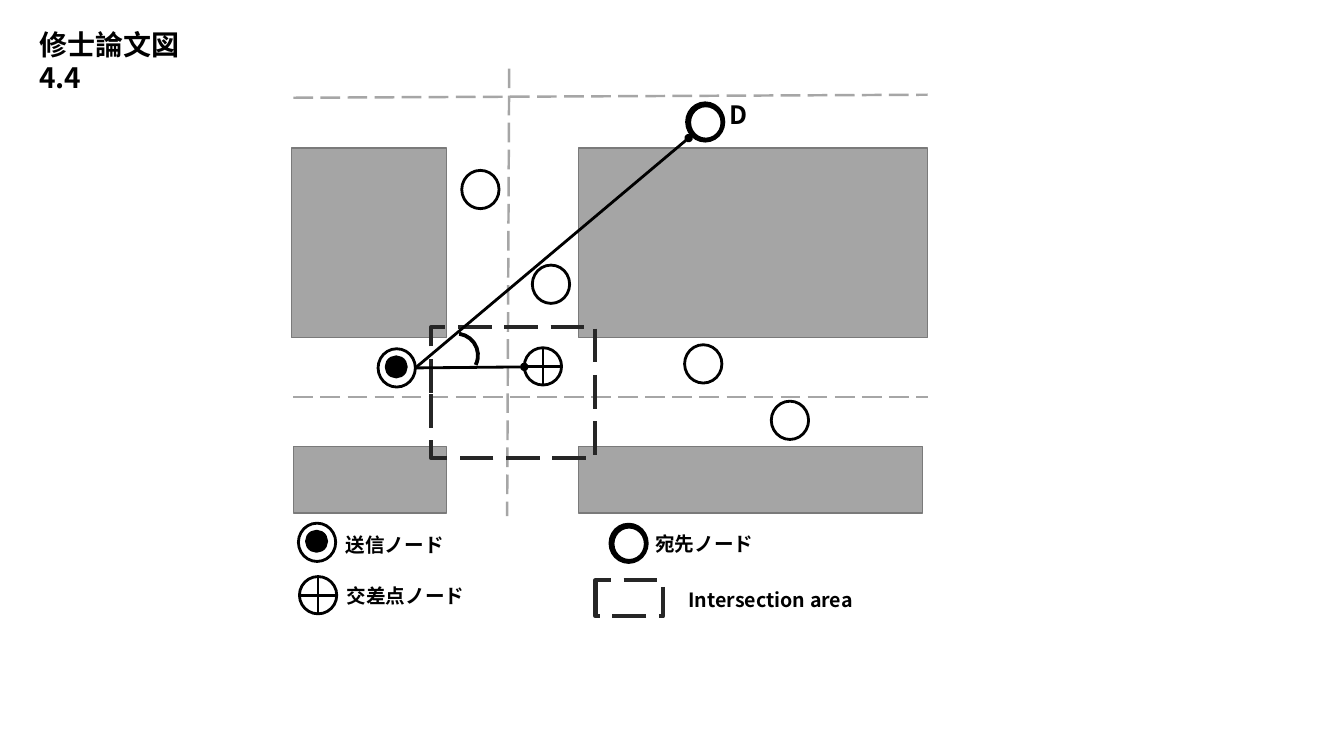
import pptx
import pptx.dml.color
import pptx.enum.dml
import pptx.enum.shapes
import pptx.enum.text
import pptx.oxml
import pptx.oxml.ns
import pptx.util
from dataclasses import dataclass

Inches = pptx.util.Inches
Pt = pptx.util.Pt
RGB = pptx.dml.color.RGBColor.from_string
SHAPE = pptx.enum.shapes.MSO_SHAPE
LONG_DASH = pptx.enum.dml.MSO_LINE.LONG_DASH


@dataclass(frozen=True)
class Theme:
    font: str = "Noto Sans CJK JP"
    ink: str = "000000"
    paper: str = "FFFFFF"
    block: str = "A5A5A5"
    block_edge: str = "7A7A7A"
    road: str = "A6A6A6"
    area: str = "262626"
    title_size: int = 20
    mark_size: int = 18
    legend_size: int = 14


theme = Theme()
prs = pptx.Presentation()
prs.slide_width, prs.slide_height = Inches(13.33), Inches(7.5)
slide = prs.slides.add_slide(prs.slide_layouts[6])


def add_outlined(kind, box, fill, line=theme.ink, width=2):
    """Add a preset shape; a fill of None leaves it see-through."""
    sp = slide.shapes.add_shape(kind, *map(Inches, box))
    sp.shadow.inherit = False
    if fill:
        sp.fill.solid()
        sp.fill.fore_color.rgb = RGB(fill)
    else:
        sp.fill.background()
    sp.line.color.rgb = RGB(line)
    sp.line.width = Pt(width)
    return sp


def add_line(start, end, color, width):
    line = slide.shapes.add_connector(
        pptx.enum.shapes.MSO_CONNECTOR.STRAIGHT, *map(Inches, start + end))
    line.line.color.rgb = RGB(color)
    line.line.width = Pt(width)
    pptx.oxml.ns.qn("a:effectLst")
    line._element.spPr.append(
        pptx.oxml.parse_xml(f"<a:effectLst {pptx.oxml.ns.nsdecls('a')}/>"))
    return line


# City blocks
for block in [(5.74, 1.47, 3.46, 1.88), (2.89, 1.47, 1.54, 1.88),
              (5.74, 4.43, 3.41, 0.66), (2.91, 4.43, 1.52, 0.66)]:
    add_outlined(SHAPE.RECTANGLE, block, theme.block, theme.block_edge, 1)

# Road centre lines
for start, end in [((2.91, 3.94), (9.2, 3.94)), ((2.91, 0.97), (9.2, 0.94)),
                   ((5.05, 0.68), (5.03, 5.12))]:
    add_line(start, end, theme.road, 1.75).line.dash_style = LONG_DASH

# Nodes on the map and in the legend
nodes = [
    ("crossing", 5.2, 3.45), ("sender", 3.75, 3.46), ("plain", 4.58, 1.69),
    ("target", 6.81, 1.02), ("plain", 5.28, 2.63), ("plain", 6.79, 3.42),
    ("plain", 7.65, 3.98), ("sender", 2.96, 5.19), ("target", 6.05, 5.2),
    ("crossing", 2.97, 5.72),
]
for role, x, y in nodes:
    add_outlined(SHAPE.FLOWCHART_OR if role == "crossing" else SHAPE.OVAL,
                 (x, y, 0.37, 0.37 if role == "crossing" else 0.38),
                 theme.ink if role == "target" else theme.paper)
    if role == "sender":
        add_outlined(SHAPE.OVAL, (x + 0.08, y + 0.08, 0.2, 0.2), theme.ink)
    elif role == "target":
        add_outlined(SHAPE.OVAL, (x + 0.03, y + 0.03, 0.32, 0.33), theme.paper)

# Intersection area: legend sample and map
for area in [(6.06, 5.6, 0.36, 0.67), (4.44, 3.08, 1.3, 1.63)]:
    sp = add_outlined(SHAPE.RECTANGLE, area, None, theme.area, 3)
    sp.line.dash_style = LONG_DASH
    sp.rotation = 90

# Directions from the sender, and the angle between them
for end in [(6.83, 1.37), (5.2, 3.64)]:
    line = add_line((4.12, 3.65), end, theme.ink, 2)
    line.line._get_or_add_ln().append(pptx.oxml.parse_xml(
        f'<a:tailEnd {pptx.oxml.ns.nsdecls("a")} type="oval"/>'))
angle = add_outlined(SHAPE.ARC, (4.31, 3.31, 0.43, 0.43), None, width=2.75)
angle.adjustments[0] = 124.79
angle.adjustments[1] = 190.07
angle.rotation = 69.7

# Labels
labels = [
    ("D", (7.14, 0.94, 0.52, 0.4), theme.mark_size),
    ("送信ノード", (3.33, 5.24, 2.18, 0.34), theme.legend_size),
    ("交差点ノード", (3.34, 5.74, 3.4, 0.34), theme.legend_size),
    ("宛先ノード", (6.4, 5.23, 1.94, 0.34), theme.legend_size),
    ("Intersection area", (6.73, 5.78, 2.34, 0.34), theme.legend_size),
    ("修士論文図4.4", (0.29, 0.22, 1.7, 0.78), theme.title_size),
]
for text, box, size in labels:
    tf = slide.shapes.add_textbox(*map(Inches, box)).text_frame
    tf.word_wrap = True
    tf.auto_size = pptx.enum.text.MSO_AUTO_SIZE.SHAPE_TO_FIT_TEXT
    tf.text = text
    r = tf.paragraphs[0].runs[0]
    r.font.name = theme.font
    r.font.size = Pt(size)
    r.font.bold = True
    r.font.color.rgb = RGB(theme.ink)
    r.font._element.append(pptx.oxml.parse_xml(
        f'<a:ea {pptx.oxml.ns.nsdecls("a")} typeface="{theme.font}"/>'))

prs.save("out.pptx")
